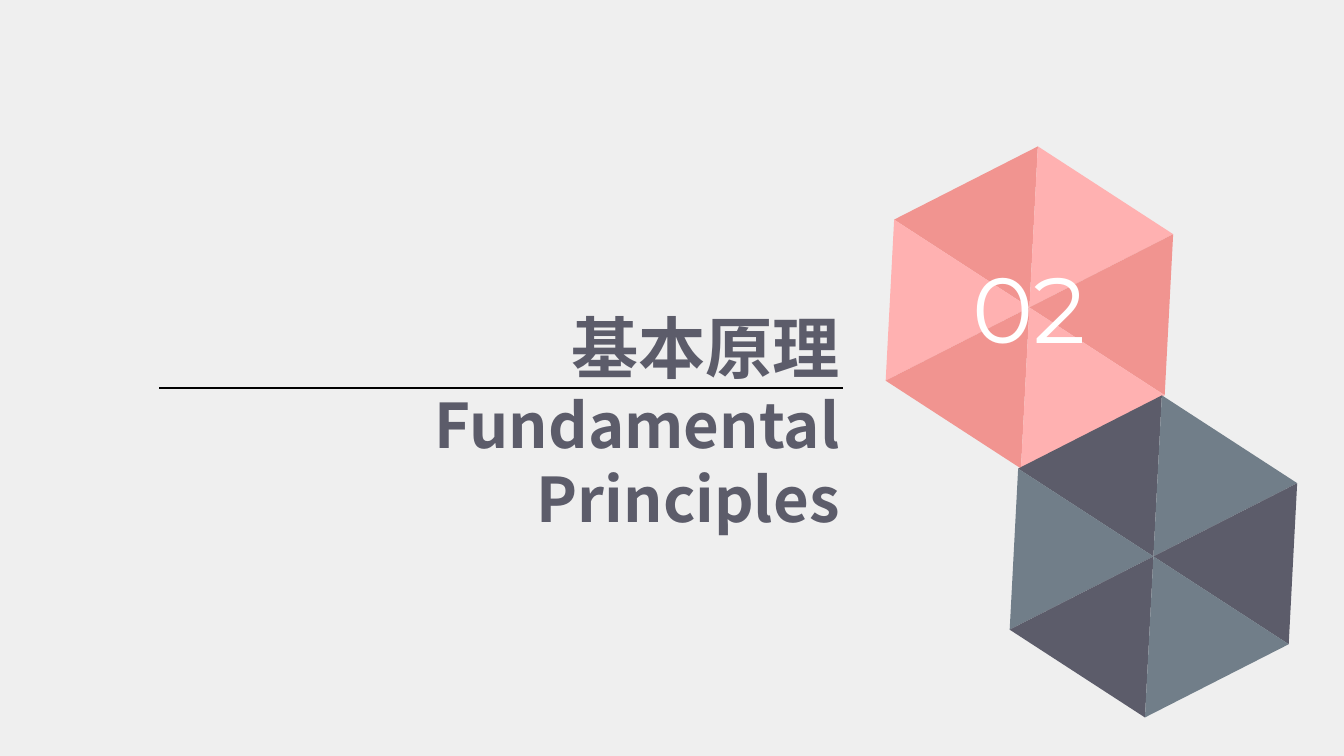
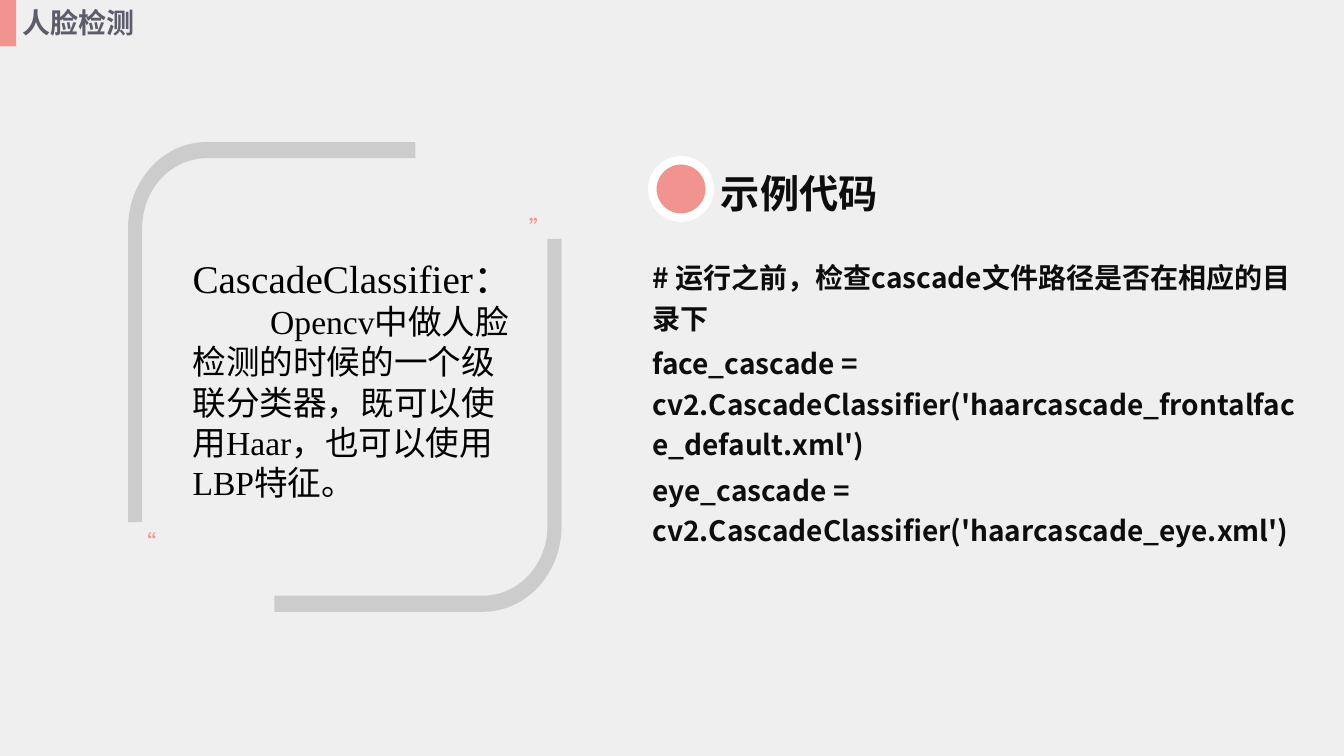
from math import cos, pi, radians, sin

from lxml.etree import SubElement
from pptx import Presentation
from pptx.dml.color import RGBColor
from pptx.enum.shapes import MSO_CONNECTOR, MSO_SHAPE
from pptx.enum.text import MSO_ANCHOR, MSO_AUTO_SIZE, PP_ALIGN
from pptx.oxml.ns import qn
from pptx.util import Inches, Pt

HUES = {
    "page": "EFEFEF", "rose": "F19490", "pink": "FFB1B1", "slate": "5C5C6A",
    "steel": "717E89", "grey": "CCCCCC", "ink": "0D0D0D", "black": "000000",
    "white": "FFFFFF",
}
SANS = "Noto Sans CJK SC"
SERIF = "Times New Roman"
ROUND = "Montserrat"
TILT = 3


def hue(name):
    """Return the colour of that name."""
    return RGBColor.from_string(HUES[name])


def span(*sizes):
    """Turn numbers into lengths."""
    return [Inches(size) for size in sizes]


def paint(shape, fill, edge=None, width=0):
    """Give a shape a flat fill and an optional outline."""
    shape.shadow.inherit = False
    shape.fill.solid()
    shape.fill.fore_color.rgb = hue(fill)
    if edge:
        shape.line.color.rgb = hue(edge)
        shape.line.width = Pt(width)
    else:
        shape.line.fill.background()


def write(frame, lines, color, face=SANS, bold=False, align=PP_ALIGN.LEFT,
          inset=None, lead=None, gap=0):
    """Fill a frame with (text, size) paragraphs."""
    frame.word_wrap = True
    frame.auto_size = MSO_AUTO_SIZE.NONE
    frame.vertical_anchor = MSO_ANCHOR.TOP
    if inset is not None:
        frame.margin_left = frame.margin_right = Inches(inset)
        frame.margin_top = frame.margin_bottom = Inches(inset)
    for rank, (text, size) in enumerate(lines):
        para = frame.add_paragraph() if rank else frame.paragraphs[0]
        para.alignment = align
        if lead:
            para.line_spacing = lead
        if rank and gap:
            para.space_before = Pt(gap)
        run = para.add_run()
        run.text = text
        font = run.font
        font.size, font.bold = Pt(size), bold
        font.color.rgb = hue(color)
        font.name = face
        east = SubElement(font._element, qn("a:ea"))
        east.set("typeface", SANS if face == SERIF else face)


def label(slide, box, lines, color, **style):
    """Add a text box."""
    shape = slide.shapes.add_textbox(*span(*box))
    write(shape.text_frame, lines, color, **style)
    return shape


def title(slide, box, lines, **style):
    """Place and fill the title placeholder."""
    shape = slide.shapes.title
    shape.left, shape.top, shape.width, shape.height = span(*box)
    write(shape.text_frame, lines, "slate", bold=True, **style)


def hexagon(slide, mid, side, light, dark):
    """Build a tilted hexagon from six triangles of two colours."""
    high = side * cos(pi / 6)
    turn = radians(TILT)
    for col in (-1, 1):
        for row in (-1, 0, 1):
            x, y = col * high / 2, row * side / 2
            left = mid[0] + x * cos(turn) - y * sin(turn) - side / 2
            top = mid[1] + x * sin(turn) + y * cos(turn) - high / 2
            right = (col < 0) == (row == 0)
            part = slide.shapes.add_shape(
                MSO_SHAPE.ISOSCELES_TRIANGLE, *span(left, top, side, high))
            part.rotation = TILT + (90 if right else 270)
            paint(part, light if right else dark)


def rule(slide, x, y, wide):
    """Draw a thin level line."""
    line = slide.shapes.add_connector(
        MSO_CONNECTOR.STRAIGHT, *span(x, y, x + wide, y))
    line.line.color.rgb = hue("black")
    line.line.width = Pt(1.5)
    SubElement(line._element.spPr, qn("a:effectLst"))


def bracket(slide, corner, way, wide, high):
    """Draw a round corner bar; way 1 opens right and down, -1 left and up."""
    steps = [pi / 2 * step / 24 for step in range(25)]

    def arc(across, down):
        return [(0.78 - across * sin(a), 0.85 - down * cos(a)) for a in steps]

    outer, inner = arc(0.78, 0.85), arc(0.64, 0.69)
    points = [(wide, 0), *outer, (0, high), (0.14, high), *inner[::-1],
              (wide, 0.16)]
    spots = [span(corner[0] + way * x, corner[1] + way * y) for x, y in points]
    pen = slide.shapes.build_freeform(*spots[0])
    pen.add_line_segments(spots[1:], close=True)
    paint(pen.convert_to_shape(), "grey")


def header(slide, text):
    """Mark the top left corner and set the slide's title."""
    tab = slide.shapes.add_shape(MSO_SHAPE.RECTANGLE, *span(0, 0, 0.16, 0.46))
    paint(tab, "rose")
    title(slide, (0.12, 0, 2.9, 0.44), [(text, 20)])


def quote(slide, box, lines):
    """Frame a passage with two brackets and quote marks."""
    x, y, wide, high = box
    bracket(slide, (x + wide, y + high), -1, 2.85, 3.7)
    bracket(slide, (x, y), 1, 2.85, 3.77)
    for left, top, turn in ((x + 3.19, y + 0.02, 180), (x - 0.03, y + 3.79, 0)):
        mark = label(slide, (left, top, 1.11, 0.88), [("“", 16)], "rose")
        mark.rotation = turn
    body = label(slide, (x + 0.64, y + 1.11, 3.26, 2.56), lines, "black",
                 face=SERIF, inset=0)
    props = body.text_frame.paragraphs[1]._p.get_or_add_pPr()
    props.set("indent", str(Inches(0.77)))


def sample(slide, box, head, lines):
    """Set a dotted heading above lines of code."""
    x, y, wide, high = box
    dot = slide.shapes.add_shape(MSO_SHAPE.OVAL, *span(x, y, 0.57, 0.57))
    paint(dot, "rose", "white", 6)
    style = dict(bold=True, inset=0, lead=1.2, gap=4)
    label(slide, (x + 0.68, y, 2.55, 0.56), [(head, 28)], "ink", **style)
    label(slide, (x, y + 0.93, wide, high - 0.93),
          [(line, 20) for line in lines], "ink", **style)


def section(slide, number, lines):
    """Build a section slide."""
    mid, side = (10.21, 3.05), 1.6
    hexagon(slide, mid, side, "pink", "rose")
    hexagon(slide, (11.44, 5.52), side, "steel", "slate")
    label(slide, (mid[0] - 1.03, mid[1] - 0.61, 2.06, 1.21), [(number, 66)],
          "white", face=ROUND, align=PP_ALIGN.CENTER)
    title(slide, (1.39, 2.99, 7.04, 1.65), lines, align=PP_ALIGN.RIGHT)
    rule(slide, 1.58, 3.85, 6.78)


def lesson(slide, name, passage, head, code):
    """Build a slide with a passage and sample code."""
    header(slide, name)
    quote(slide, (1.27, 1.41, 4.3, 4.66), passage)
    sample(slide, (6.47, 1.59, 6.53, 4.36), head, code)


def main():
    """Build and save the deck."""
    deck = Presentation()
    deck.slide_width, deck.slide_height = span(13.33, 7.5)
    back = deck.slide_master.background.fill
    back.solid()
    back.fore_color.rgb = hue("page")
    plan = deck.slide_layouts.get_by_name("Title Only")
    section(deck.slides.add_slide(plan), "02",
            [("基本原理", 48), ("Fundamental Principles", 44)])
    lesson(
        deck.slides.add_slide(plan), "人脸检测",
        [("CascadeClassifier：", 28),
         ("Opencv中做人脸检测的时候的一个级联分类器，既可以使用Haar，"
          "也可以使用LBP特征。", 24)],
        "示例代码",
        ["# 运行之前，检查cascade文件路径是否在相应的目录下",
         "face_cascade = cv2.CascadeClassifier("
         "'haarcascade_frontalface_default.xml')",
         "eye_cascade = cv2.CascadeClassifier('haarcascade_eye.xml')"])
    deck.save("out.pptx")


if __name__ == "__main__":
    main()
